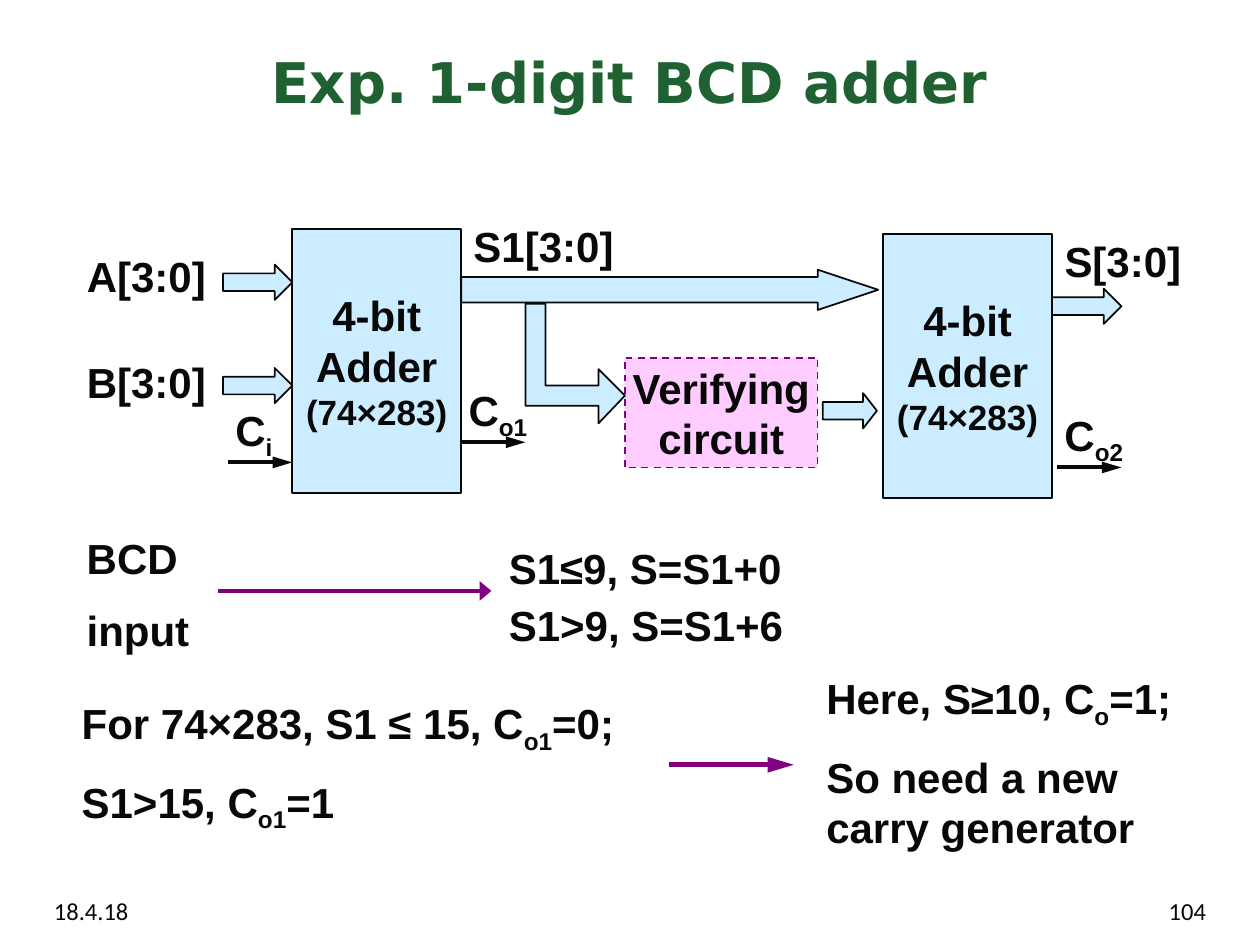
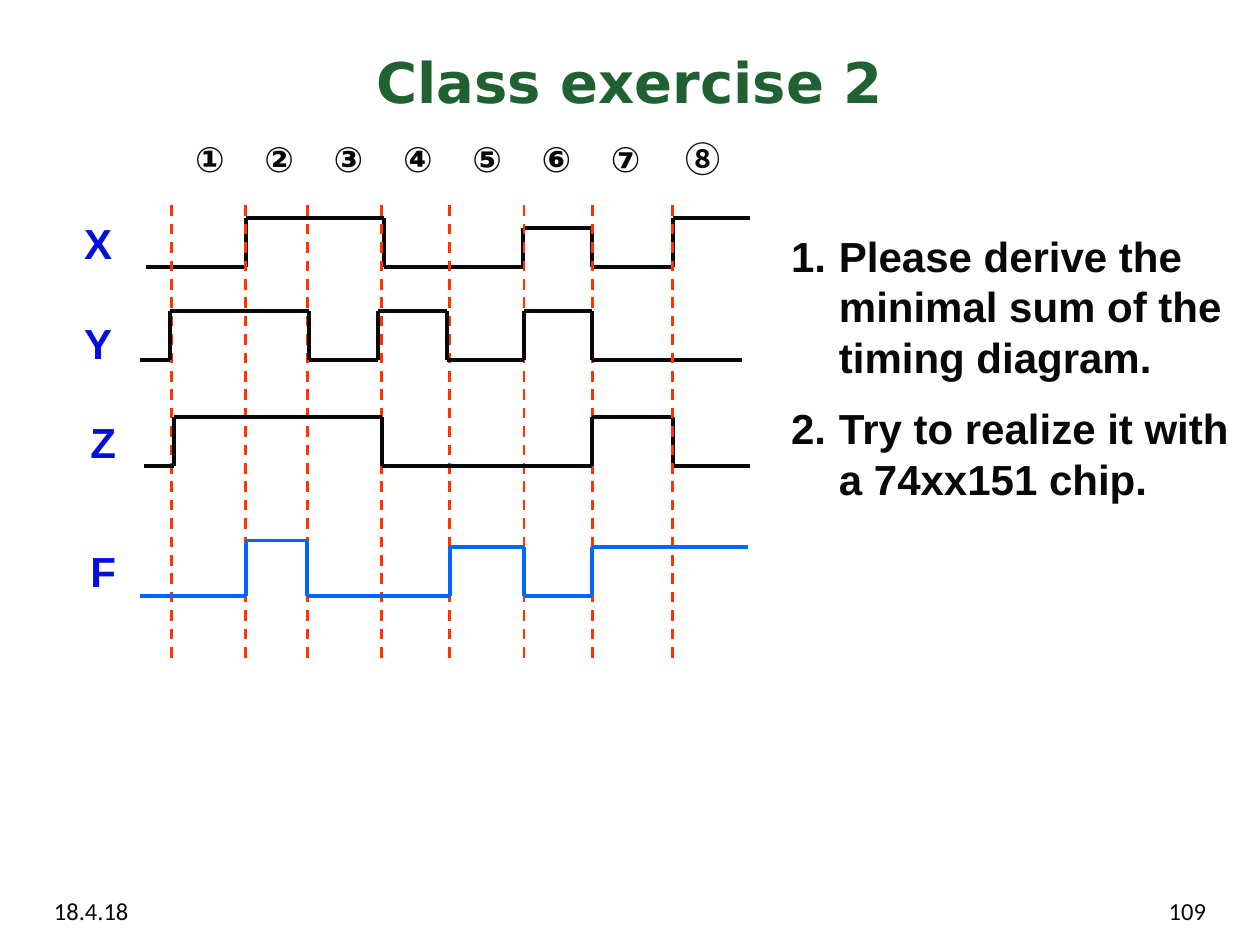
import pptx
import pptx.util
import pptx.dml.color
import pptx.enum.dml
import pptx.enum.shapes
import pptx.enum.text
import pptx.oxml
import pptx.oxml.ns
import lxml.etree

Inches = pptx.util.Inches
Pt = pptx.util.Pt
SHAPE = pptx.enum.shapes.MSO_SHAPE
ALIGN = pptx.enum.text.PP_ALIGN
ANCHOR = pptx.enum.text.MSO_ANCHOR
DASH = pptx.enum.dml.MSO_LINE.DASH
qn = pptx.oxml.ns.qn

COLORS = {
    "text": "080808",
    "title": "1F6130",
    "block": "CCECFF",
    "verify": "FFCCFF",
    "purple": "800080",
    "signal": "050FD9",
    "grid": "FF3300",
    "output": "0066FF",
}


def rgb(name):
    return pptx.dml.color.RGBColor.from_string(COLORS[name])


def assign(obj, values):
    for key, value in values.items():
        setattr(obj, key, value)


class Deck:
    LABEL = {"size": 24, "name": "Arial", "bold": True, "color": "text"}
    FOOTER = {"size": 14, "name": "Calibri", "bold": False, "color": "text"}
    TITLE = {"size": 32, "name": "DejaVu Sans", "bold": True, "color": "title"}

    def __init__(self, prs):
        self.prs = prs
        self.s = None

    def slide(self, title, number):
        self.s = self.prs.slides.add_slide(self.prs.slide_layouts[5])
        sp = self.s.shapes.title
        place = {"left": 0.33, "top": 0.25, "width": 9.34, "height": 0.78}
        assign(sp, {k: Inches(v) for k, v in place.items()})
        self.fill_text(sp.text_frame, [title], self.TITLE, ALIGN.CENTER, ANCHOR.MIDDLE)
        self.text(0.33, 7.06, 2.5, 0.29, "18.4.18", style=self.FOOTER)
        self.text(7.17, 7.06, 2.5, 0.29, number, style=self.FOOTER, align=ALIGN.RIGHT)

    def add_text_run(self, p, text, style, sub):
        r = p.add_run()
        r.text = text
        assign(r.font, {"size": Pt(style["size"]), "name": style["name"], "bold": style["bold"]})
        r.font.color.rgb = rgb(style["color"])
        rPr = r._r.get_or_add_rPr()
        lxml.etree.SubElement(rPr, qn("a:ea")).set("typeface", style["name"])
        if sub:
            rPr.set("baseline", "-25000")

    def fill_text(self, tf, lines, style, align=ALIGN.LEFT, anchor=ANCHOR.TOP,
                  wrap=True, gap=0, numbered=False):
        assign(tf, {"word_wrap": wrap, "vertical_anchor": anchor})
        for i, line in enumerate(lines):
            text, size = line if isinstance(line, tuple) else (line, style["size"])
            p = tf.add_paragraph() if i else tf.paragraphs[0]
            assign(p, {"alignment": align, "space_before": Pt(gap if i else 0)})
            for j, part in enumerate(text.split("~")):
                if part:
                    self.add_text_run(p, part, {**style, "size": size}, sub=j % 2 == 1)
            if numbered:
                pPr = p._p.get_or_add_pPr()
                pPr.set("marL", str(Inches(0.38)))
                pPr.set("indent", str(Inches(-0.38)))
                lxml.etree.SubElement(pPr, qn("a:buFont")).set("typeface", "+mj-lt")
                lxml.etree.SubElement(pPr, qn("a:buAutoNum")).set("type", "arabicPeriod")

    def text(self, x, y, w, h, *lines, style=None, **kw):
        sp = self.s.shapes.add_textbox(Inches(x), Inches(y), Inches(w), Inches(h))
        self.fill_text(sp.text_frame, lines, style or self.LABEL, gap=12, **kw)

    def paint(self, sp, fill, line, dash=None):
        sp.shadow.inherit = False
        sp.fill.solid()
        sp.fill.fore_color.rgb = rgb(fill)
        sp.line.color.rgb = rgb(line)
        assign(sp.line, {"width": Pt(1), "dash_style": dash})

    def box(self, x, y, w, h, *lines, fill="block", line="text", dash=None):
        sp = self.s.shapes.add_shape(SHAPE.RECTANGLE, Inches(x), Inches(y), Inches(w), Inches(h))
        self.paint(sp, fill, line, dash)
        self.fill_text(sp.text_frame, lines, self.LABEL, ALIGN.CENTER, ANCHOR.MIDDLE, wrap=False)

    def arrow(self, x, y, w=0.55, h=0.28, adj=(0.5, 0.5)):
        sp = self.s.shapes.add_shape(SHAPE.RIGHT_ARROW, Inches(x), Inches(y), Inches(w), Inches(h))
        for i, value in enumerate(adj):
            sp.adjustments[i] = value
        self.paint(sp, "block", "text")

    def outline(self, points):
        pts = [(Inches(x), Inches(y)) for x, y in points]
        fb = self.s.shapes.build_freeform(*pts[0])
        fb.add_line_segments(pts[1:], close=True)
        self.paint(fb.convert_to_shape(), "block", "text")

    def line(self, x1, y1, x2, y2, color="text", width=2.25, dash=None, head=None):
        cn = self.s.shapes.add_connector(pptx.enum.shapes.MSO_CONNECTOR.STRAIGHT,
                                         Inches(x1), Inches(y1), Inches(x2), Inches(y2))
        cn.line.color.rgb = rgb(color)
        assign(cn.line, {"width": Pt(width), "dash_style": dash})
        spPr = cn._element.spPr
        if head:
            end = lxml.etree.SubElement(spPr.find(qn("a:ln")), qn("a:tailEnd"))
            for key, value in zip(("type", "w", "len"), ("triangle", *head)):
                end.set(key, value)
        lxml.etree.SubElement(spPr, qn("a:effectLst"))

    def wave(self, x, steps, color="text"):
        last = None
        for end, level in steps:
            if last is not None:
                self.line(x, min(last, level), x, max(last, level), color)
            self.line(x, level, end, level, color)
            x, last = end, level


def adder_slide(deck):
    deck.slide("Exp. 1-digit BCD adder", "104")
    adder = ("4-bit", "Adder", ("(74×283)", 20))
    slim = ("med", "lg")

    deck.arrow(3.66, 2.14, 3.31, 0.32, (0.63, 1.5))
    deck.box(2.32, 1.82, 1.34, 2.09, *adder)
    deck.box(4.96, 2.84, 1.53, 0.87, "Verifying", "circuit",
             fill="verify", line="purple", dash=DASH)
    deck.outline([(4.96, 3.14), (4.75, 2.93), (4.75, 3.06), (4.33, 3.06), (4.33, 2.41),
                  (4.17, 2.41), (4.17, 3.22), (4.75, 3.22), (4.75, 3.36)])
    deck.box(7.01, 1.86, 1.34, 2.09, *adder)
    for x, y in [(1.77, 2.1), (1.77, 2.92), (8.35, 2.29)]:
        deck.arrow(x, y)
    deck.arrow(6.53, 3.12, 0.43, 0.28, (0.5, 0.39))
    for x, y in [(3.66, 3.51), (1.81, 3.67), (8.39, 3.71)]:
        deck.line(x, y, x + 0.51, y, head=slim)

    for x, y, w, label in [
        (0.59, 1.94, 1.18, "A[3:0]"),
        (0.59, 2.78, 1.18, "B[3:0]"),
        (3.66, 1.7, 1.46, "S1[3:0]"),
        (3.62, 3, 0.79, "C~o1~"),
        (1.77, 3.16, 0.67, "C~i~"),
        (8.35, 3.2, 0.83, "C~o2~"),
        (8.35, 1.82, 1.18, "S[3:0]"),
        (3.94, 4.26, 2.72, "S1≤9, S=S1+0"),
        (3.94, 4.71, 2.72, "S1>9, S=S1+6"),
    ]:
        deck.text(x, y, w, 0.5, label)

    deck.text(0.59, 4.18, 1.06, 1.1, "BCD", "input")
    deck.line(1.73, 4.69, 3.9, 4.69, "purple", head=("lg", "med"))
    deck.text(6.46, 5.29, 3.23, 1.5, "Here, S≥10, C~o~=1;", "So need a new carry generator")
    deck.line(5.31, 6.07, 6.3, 6.07, "purple", 3, head=slim)
    deck.text(0.55, 5.49, 4.96, 1.1, "For 74×283, S1 ≤ 15, C~o1~=0;", "S1>15, C~o1~=1")


def timing_slide(deck):
    deck.slide("Class exercise 2", "109")
    edges = [1.36, 1.95, 2.44, 3.03, 3.57, 4.16, 4.7, 5.34]

    def grid(xs):
        for x in xs:
            deck.line(x, 1.63, x, 5.23, "grid", 1.5, DASH)

    deck.wave(1.16, [(1.95, 2.12), (3.05, 1.73), (4.15, 2.12), (4.7, 1.81),
                     (5.34, 2.12), (5.95, 1.73)])
    grid(edges[:-1])
    deck.wave(1.11, [(1.35, 2.86), (2.45, 2.47), (3, 2.86), (3.55, 2.47),
                     (4.16, 2.86), (4.7, 2.47), (5.89, 2.86)])
    deck.wave(1.14, [(1.38, 3.7), (3.03, 3.31), (4.7, 3.7), (5.34, 3.31), (5.95, 3.7)])
    grid(edges[-1:])
    deck.wave(1.11, [(1.95, 4.73), (2.44, 4.29), (3.57, 4.73), (4.16, 4.34),
                     (4.7, 4.73), (5.94, 4.34)], "output")

    signal = {**deck.LABEL, "color": "signal"}
    for x, y, name in [(0.57, 1.68, "X"), (0.57, 2.47, "Y"), (0.62, 3.26, "Z"), (0.62, 4.28, "F")]:
        deck.text(x, y, 0.47, 0.5, name, style=signal)

    mark = {**deck.LABEL, "size": 20}
    for i, digit in enumerate("①②③④⑤⑥⑦"):
        deck.text(1.45 + 0.55 * i, 1.04, 0.55, 0.43, digit, style=mark)
    deck.text(5.34, 1.04, 0.55, 0.43, "⑧", style={**mark, "name": "Noto Sans CJK SC"})

    deck.text(6.18, 1.78, 3.69, 2.3,
              "Please derive the minimal sum of the timing diagram.",
              "Try to realize it with a 74xx151 chip.", numbered=True)


def main():
    prs = pptx.Presentation()
    assign(prs, {"slide_width": Inches(10), "slide_height": Inches(7.5)})
    deck = Deck(prs)
    adder_slide(deck)
    timing_slide(deck)
    prs.save("out.pptx")


if __name__ == "__main__":
    main()
